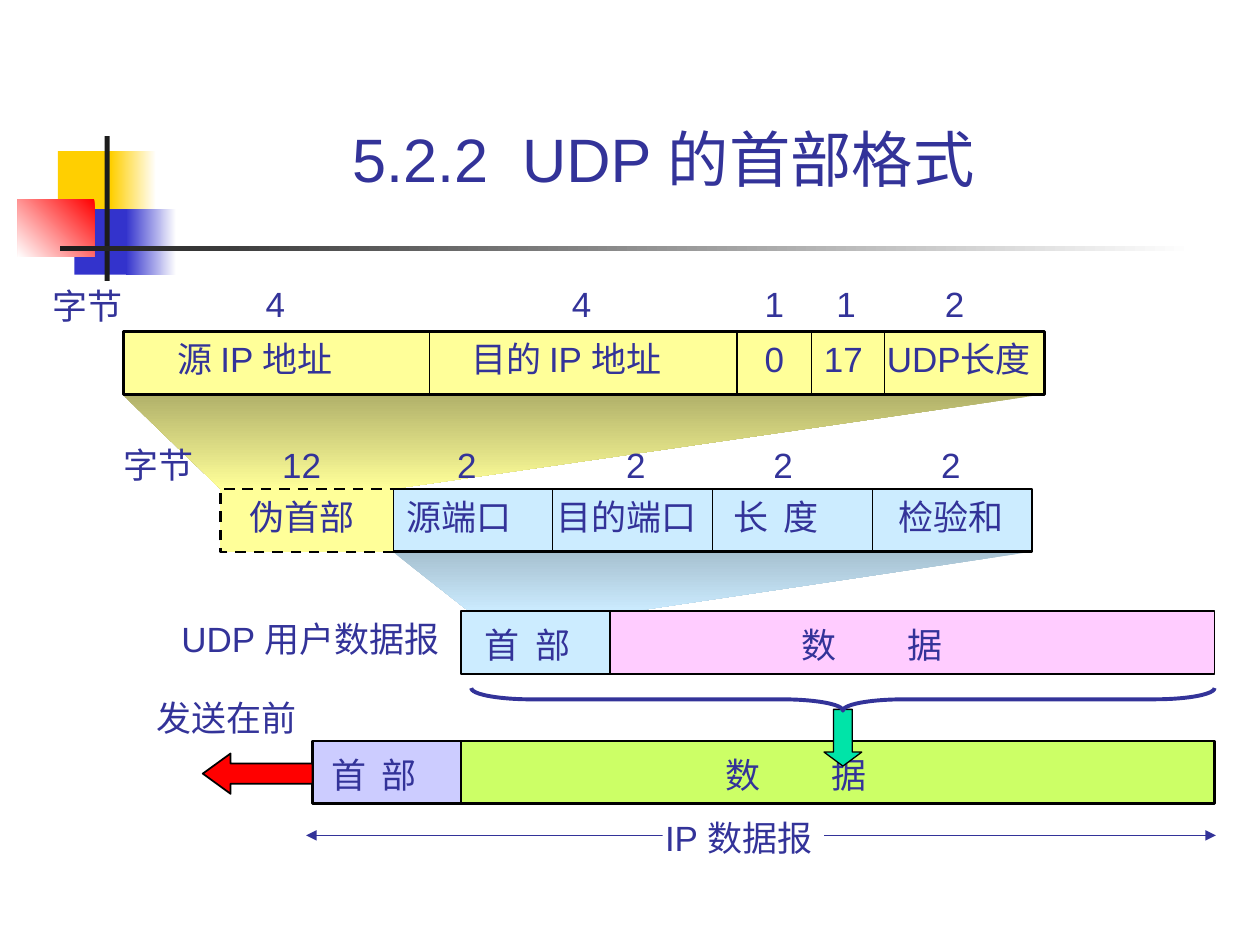
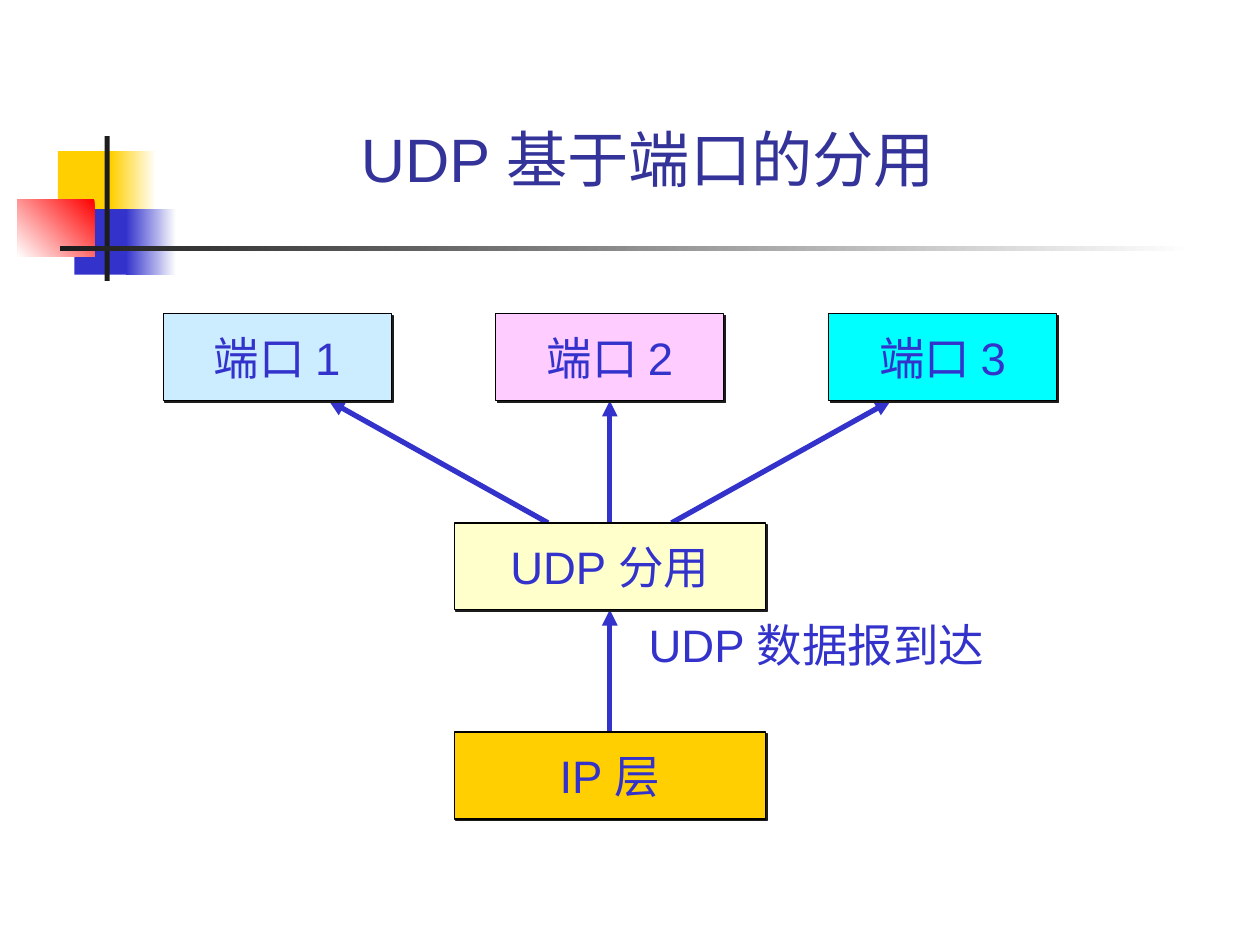
from lxml import etree
from pptx import Presentation
from pptx.dml.color import RGBColor
from pptx.enum import dml, shapes, text
from pptx.oxml import parse_xml
from pptx.oxml.ns import nsdecls, qn
from pptx.util import Inches, Pt

FONT = "Arial"
INK, BLUE, BLACK, CHARCOAL = "333399", "3333CC", "000000", "1C1C1C"
WHITE, GOLD, YELLOW, SKY, PINK = "FFFFFF", "FFCF01", "FFFF99", "CCECFF", "FFCCFF"
SHAPE = shapes.MSO_SHAPE

# Shared band: (left, top, width, height), fill; a gradient is (first, last, angle)
BAND = [
    ((0.46, 1.2, 0.48, 0.52), GOLD),
    ((0.88, 1.2, 0.36, 0.52), (WHITE, GOLD, 180)),
    ((0.59, 1.66, 0.46, 0.52), BLUE),
    ((1, 1.66, 0.4, 0.52), (WHITE, BLUE, 180)),
    ((0.14, 1.58, 0.61, 0.46), ("FF0000", WHITE, 225)),
    ((0.83, 1.08, 0.04, 1.15), CHARCOAL),
    ((0.48, 1.95, 9, 0.04), (WHITE, CHARCOAL, 180)),
]

# Slide 1: header format
ROW_H = 0.5
PSEUDO_TOP, UDP_TOP, DATAGRAM_TOP, IP_TOP = 2.63, 3.88, 4.85, 5.88
UDP_LEFT, UDP_W, UDP_FIELDS = 3.12, 5.07, 4
PSEUDO_DIVIDERS = [3.41, 5.85, 6.44, 7.02]
FUNNELS = [
    ([(3.12, 4.38), (8.18, 4.38), (4.97, 4.86), (3.72, 4.85)], ("A6C0D0", SKY, 270)),
    ([(0.97, 3.13), (8.28, 3.13), (3.12, 3.88), (1.75, 3.88)], ("B1B16A", YELLOW, 270)),
]
PSEUDO_BOX = [(3.12, 4.38), (1.75, 4.38), (1.75, 3.88), (3.12, 3.88)]
BOXES = [  # left, top, width, fill, line width
    (2.48, IP_TOP, 1.18, "CCCCFF", 1.5),
    (3.66, DATAGRAM_TOP, 1.18, SKY, 1),
    (UDP_LEFT, UDP_TOP, UDP_W, SKY, 1.5),
    (3.66, IP_TOP, 5.98, "CCFF66", 1.5),
    (0.98, PSEUDO_TOP, 7.31, YELLOW, 1.5),
    (4.84, DATAGRAM_TOP, 4.8, PINK, 1),
]
LABEL_ROWS = [  # top, [(text, left, width)]
    (2.21, [("字节", 0.32, 0.75)]),
    (2.19, [("4", 2.01, 0.35), ("4", 4.44, 0.35), ("1", 5.97, 0.35),
            ("1", 6.54, 0.35), ("2", 7.4, 0.35)]),
    (PSEUDO_TOP, [("源 IP 地址", 1.31, 1.64), ("目的 IP 地址", 3.64, 1.92),
                  ("0", 5.97, 0.35), ("17", 6.44, 0.51), ("UDP长度", 6.94, 1.41)]),
    (3.47, [("字节", 0.88, 0.75), ("12", 2.14, 0.51), ("2", 3.53, 0.35),
            ("2", 4.87, 0.35), ("2", 6.04, 0.35), ("2", 7.37, 0.35)]),
    (UDP_TOP, [("伪首部", 1.88, 1.03), ("源端口", 3.13, 1.03), ("目的端口", 4.32, 1.31),
               ("长\t度", 5.72, 1.03), ("检验和", 7.03, 1.03)]),
    (DATAGRAM_TOP, [("UDP 用户数据报", 1.34, 2.32)]),
    (DATAGRAM_TOP + 0.05, [("首\t部", 3.75, 1.03), ("数\t据", 6.26, 2.01)]),
    (5.48, [("发送在前", 1.14, 1.31)]),
    (IP_TOP + 0.05, [("首\t部", 2.53, 1.03), ("数\t据", 5.66, 2.01)]),
]
TAB_STOPS = {"长\t度": 0.4, "首\t部": 0.4, "数\t据": 0.84}

# Slide 2: demultiplexing
CENTER, NODE_H = 4.84, 0.69
PORT_TOP, DEMUX_TOP, IP_LAYER_TOP = 2.49, 4.15, 5.81
PORT_W, LAYER_W, PORT_PITCH = 1.81, 2.47, 2.64
PORTS = [("端口 1", SKY), ("端口 2", PINK), ("端口 3", "00FFFF")]
LAYERS = [("UDP 分用", "FFFFCC", DEMUX_TOP), ("IP 层", GOLD, IP_LAYER_TOP)]
ARROW_START_PITCH, ARROW_END_PITCH = 0.49, 2.23


def rgb(value):
    return RGBColor.from_string(value)


def inches(*values):
    return [Inches(v) for v in values]


def paint(sp, fill, line=None, width=1.0):
    sp.shadow.inherit = False
    if isinstance(fill, tuple):
        sp.fill.gradient()
        sp.fill.gradient_angle = fill[2]
        for stop, color in zip(sp.fill.gradient_stops, fill):
            stop.color.rgb = rgb(color)
    elif fill:
        sp.fill.solid()
        sp.fill.fore_color.rgb = rgb(fill)
    else:
        sp.fill.background()
    if line:
        sp.line.color.rgb = rgb(line)
        sp.line.width = Pt(width)
    else:
        sp.line.fill.background()
    return sp


def add_box(s, at, fill, line=None, width=1.0, kind=SHAPE.RECTANGLE):
    return paint(s.shapes.add_shape(kind, *inches(*at)), fill, line, width)


def add_outline(s, points, fill, line=None, width=1.0, close=True):
    corners = [inches(*point) for point in points]
    builder = s.shapes.build_freeform(*corners[0], scale=1.0)
    builder.add_line_segments(corners[1:], close=close)
    return paint(builder.convert_to_shape(), fill, line, width)


def add_line(s, start, end, color, width, arrows=()):
    """Arrows may hold headEnd (at the start) and tailEnd (at the end)."""
    c = s.shapes.add_connector(shapes.MSO_CONNECTOR.STRAIGHT, *inches(*start, *end))
    c.line.color.rgb = rgb(color)
    c.line.width = Pt(width)
    ln = c.element.spPr.find(qn("a:ln"))
    for arrow in arrows:
        etree.SubElement(ln, qn("a:" + arrow), type="triangle")
    etree.SubElement(c.element.spPr, qn("a:effectLst"))


def style(p, size, color):
    p.font.size = Pt(size)
    for r in p.runs:
        r.font.name, r.font.size, r.font.color.rgb = FONT, Pt(size), rgb(color)


def add_label(s, words, at, size=20, color=INK):
    tf = s.shapes.add_textbox(*inches(*at)).text_frame
    tf.word_wrap = False
    tf.margin_right = 0  # leaves room for the last character
    p = tf.paragraphs[0]
    p.text = words
    if words in TAB_STOPS:
        tabs = etree.SubElement(p._p.get_or_add_pPr(), qn("a:tabLst"))
        etree.SubElement(tabs, qn("a:tab"), pos=str(Inches(TAB_STOPS[words])), algn="l")
    style(p, size, color)


def add_node(s, words, center, top, width, fill):
    """Add a captioned box with a hard shadow, centred on a given x."""
    sp = add_box(s, (center - width / 2, top, width, NODE_H), fill, BLACK, 0.75)
    sp.element.spPr.find(qn("a:effectLst")).append(parse_xml(
        f'<a:outerShdw {nsdecls("a")} dist="17961" dir="2700000" algn="ctr" '
        f'rotWithShape="0"><a:srgbClr val="{CHARCOAL}"/></a:outerShdw>'))
    tf = sp.text_frame
    tf.word_wrap = False
    tf.vertical_anchor = text.MSO_ANCHOR.MIDDLE
    tf.text = words
    tf.paragraphs[0].alignment = text.PP_ALIGN.CENTER
    style(tf.paragraphs[0], 26, BLUE)


def add_band(s, layout):
    """Draw the band and hand it to the layout, so every slide shows it."""
    for number, (at, fill) in enumerate(BAND, 101):
        sp = add_box(s, at, fill)
        sp.element.xpath(".//p:cNvPr")[0].set("id", str(number))
        layout.shapes.element.append(sp.element)


def add_slide(prs, layout, title, title_w):
    s = prs.slides.add_slide(layout)
    sp = s.shapes.title
    sp.left, sp.top, sp.width, sp.height = inches(1.26, 0.23, title_w, 1.39)
    tf = sp.text_frame
    tf.text = title
    tf.auto_size = text.MSO_AUTO_SIZE.NONE
    tf.vertical_anchor = text.MSO_ANCHOR.BOTTOM
    tf.margin_right, tf.margin_bottom = inches(0.24, 0.07)
    tf.paragraphs[0].alignment = text.PP_ALIGN.CENTER
    style(tf.paragraphs[0], 35, INK)
    return s


def draw_header_format(s):
    for points, fill in FUNNELS:
        add_outline(s, points, fill)
    for left, top, width, fill, line_w in BOXES:
        add_box(s, (left, top, width, ROW_H), fill, BLACK, line_w)
    pseudo = add_outline(s, PSEUDO_BOX, YELLOW, BLACK, 1.5, close=False)
    pseudo.line.dash_style = dml.MSO_LINE.DASH

    udp_dividers = [UDP_LEFT + UDP_W / UDP_FIELDS * i for i in range(1, UDP_FIELDS)]
    for top, dividers in ((PSEUDO_TOP, PSEUDO_DIVIDERS), (UDP_TOP, udp_dividers)):
        for x in dividers:
            add_line(s, (x, top), (x, top + ROW_H), BLACK, 0.75)

    for top, labels in LABEL_ROWS:
        for words, left, width in labels:
            add_label(s, words, (left, top, width, 0.44))

    add_line(s, (2.43, 6.63), (9.65, 6.63), INK, 0.75, ("headEnd", "tailEnd"))
    add_box(s, (5.26, 6.46, 1.28, 0.32), WHITE)
    add_label(s, "IP 数据报", (5.18, 6.43, 1.44, 0.44))

    send = add_box(s, (1.61, 5.98, 0.87, 0.32), "FF0000", BLACK, 1, SHAPE.LEFT_ARROW)
    send.adjustments[1] = 0.69
    wrap = add_box(s, (6.54, 5.63, 0.3, 0.45), "00E4A8", BLACK, 0.75, SHAPE.DOWN_ARROW)
    wrap.adjustments[1] = 0.37
    brace = add_box(s, (6.6, 2.6, 0.18, 5.9), None, INK, 2.25, SHAPE.LEFT_BRACE)
    brace.adjustments[0] = 2.65
    brace.rotation = 270


def draw_demultiplexing(s):
    add_line(s, (CENTER, IP_LAYER_TOP), (CENTER, DEMUX_TOP + NODE_H), BLUE, 3, ("tailEnd",))
    for i, (words, fill) in enumerate(PORTS, -1):
        add_line(s, (CENTER + i * ARROW_START_PITCH, DEMUX_TOP),
                 (CENTER + i * ARROW_END_PITCH, PORT_TOP + NODE_H), BLUE, 3, ("tailEnd",))
        add_node(s, words, CENTER + i * PORT_PITCH, PORT_TOP, PORT_W, fill)
    for words, fill, top in LAYERS:
        add_node(s, words, CENTER, top, LAYER_W, fill)
    add_label(s, "UDP 数据报到达", (5.05, 4.85, 2.96, 0.54), 26, BLUE)


def main():
    prs = Presentation()
    prs.slide_width, prs.slide_height = inches(10, 7.5)
    layout = prs.slide_layouts[5]
    s = add_slide(prs, layout, "5.2.2  UDP 的首部格式", 8.15)
    add_band(s, layout)
    draw_header_format(s)
    draw_demultiplexing(add_slide(prs, layout, "UDP 基于端口的分用", 7.91))
    prs.save("out.pptx")


if __name__ == "__main__":
    main()
